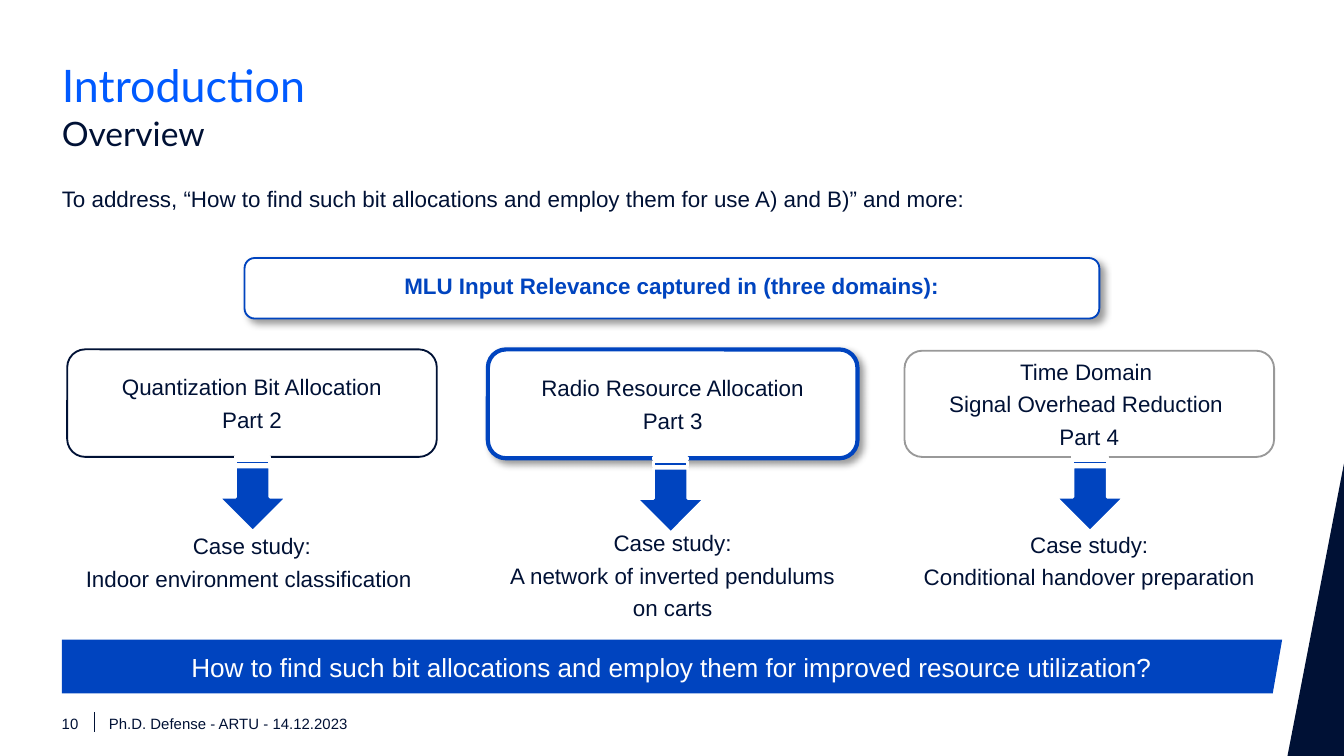
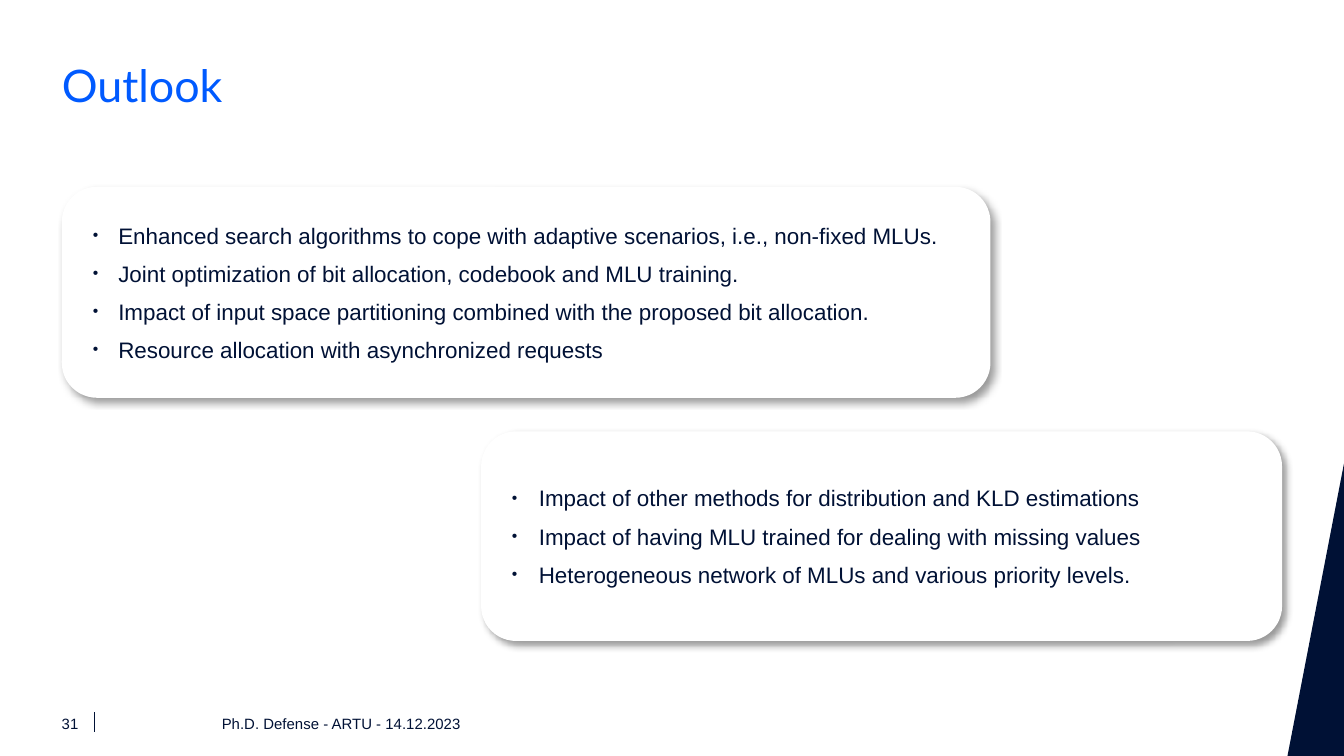
import dataclasses

import lxml.etree
import pptx
import pptx.dml.color
import pptx.enum.shapes
import pptx.enum.text
import pptx.oxml.ns
import pptx.util

Inches = pptx.util.Inches
SHAPE = pptx.enum.shapes.MSO_SHAPE
ALIGN = pptx.enum.text.PP_ALIGN
ANCHOR = pptx.enum.text.MSO_ANCHOR


@dataclasses.dataclass(frozen=True)
class Theme:
    """Colours, fonts and type sizes of the deck."""
    navy: str = "001135"
    blue: str = "0044BF"
    bright: str = "005AFF"
    grey: str = "999999"
    white: str = "FFFFFF"
    black: str = "000000"
    head: str = "Lato"
    body: str = "Arial"
    title: int = 24
    sub: int = 18
    band: int = 14
    text: int = 12
    small: int = 8


T = Theme()
WIDE = 10
HIGH = WIDE * 9 / 16
LEFT, SPAN = 0.46, 9.09
FOOT = "Ph.D. Defense - ARTU - 14.12.2023"


def color(code):
    """Turn a hex code into a colour."""
    return pptx.dml.color.RGBColor.from_string(code)


def node(parent, tag, **attrs):
    """Append a drawing element with its attributes."""
    child = lxml.etree.SubElement(parent, pptx.oxml.ns.qn(tag))
    for key, value in attrs.items():
        child.set(key, str(value))
    return child


def write(shape, text, size=T.text, ink=T.navy, font=T.body, bold=False,
          align=ALIGN.LEFT, anchor=ANCHOR.TOP, inset=0, after=0):
    """Fill a shape with text in one style."""
    frame = shape.text_frame
    frame.text = text
    frame.word_wrap = True
    frame.vertical_anchor = anchor
    frame.margin_left = frame.margin_right = Inches(inset)
    frame.margin_top = frame.margin_bottom = Inches(inset)
    for para in frame.paragraphs:
        para.alignment = align
        para.space_after = pptx.util.Pt(after)
        for run in para.runs:
            run.font.size = pptx.util.Pt(size)
            run.font.name = font
            run.font.bold = bold
            run.font.color.rgb = color(ink)


def label(slide, box, text, **style):
    """Add a text box."""
    shape = slide.shapes.add_textbox(*map(Inches, box))
    write(shape, text, **style)
    return shape


def paint(shape, fill, line=None, width=1):
    """Set fill and outline, without a shadow."""
    shape.shadow.inherit = False
    shape.fill.solid()
    shape.fill.fore_color.rgb = color(fill)
    if line:
        shape.line.color.rgb = color(line)
        shape.line.width = pptx.util.Pt(width)
    else:
        shape.line.fill.background()


def form(slide, kind, box, fill, line=None, width=1):
    """Add a painted preset shape."""
    shape = slide.shapes.add_shape(kind, *map(Inches, box))
    paint(shape, fill, line, width)
    return shape


def shade(shape):
    """Give a shape a soft shadow to the lower right."""
    effects = shape.element.spPr.find(pptx.oxml.ns.qn("a:effectLst"))
    shadow = node(effects, "a:outerShdw", blurRad=pptx.util.Pt(4),
                  dist=pptx.util.Pt(3), dir=45 * 60000, algn="tl", rotWithShape=0)
    tint = node(shadow, "a:srgbClr", val=T.black)
    node(tint, "a:alpha", val=40000)


def dot(shape, indent):
    """Put small bullets with a hanging indent on each paragraph."""
    for para in shape.text_frame.paragraphs:
        props = para._p.get_or_add_pPr()
        props.set("marL", str(Inches(indent)))
        props.set("indent", str(-Inches(indent)))
        node(props, "a:buSzPct", val=70000)
        node(props, "a:buFont", typeface=T.body)
        node(props, "a:buChar", char="•")


def frame(deck, page, title, start, sub=None):
    """Add a slide with corner wedge, titles and footer."""
    slide = deck.slides.add_slide(deck.slide_layouts[6])
    wedge = form(slide, SHAPE.RIGHT_TRIANGLE, (9.58, 3.45, 0.42, HIGH - 3.45), T.navy)
    wedge.element.spPr.find(pptx.oxml.ns.qn("a:xfrm")).set("flipH", "1")
    for left, width, text in ((LEFT, 0.2, str(page)), (start, 3.15, FOOT)):
        label(slide, (left, 5.32, width, 0.13), text, size=T.small, anchor=ANCHOR.BOTTOM)
    rule = slide.shapes.add_connector(
        pptx.enum.shapes.MSO_CONNECTOR.STRAIGHT,
        Inches(0.7), Inches(5.3), Inches(0.7), Inches(5.45))
    rule.line.color.rgb = color(T.navy)
    rule.line.width = pptx.util.Pt(0.5)
    node(rule.element.spPr, "a:effectLst")
    label(slide, (LEFT, 0.43, SPAN, 0.37), title, size=T.title, ink=T.bright, font=T.head)
    if sub:
        label(slide, (LEFT, 0.84, SPAN, 0.37), sub, size=T.sub, font=T.head)
    return slide


def column(slide, box, part, study, line, width, lift, shift, drop):
    """Add a part box with an arrow down to its case study."""
    left, top, wide, high = box
    card = form(slide, SHAPE.ROUNDED_RECTANGLE, box, T.white, line, width)
    if lift:
        shade(card)
    style = dict(align=ALIGN.CENTER, after=3)
    write(card, part, anchor=ANCHOR.MIDDLE, inset=0.08, **style)
    arrow = form(slide, SHAPE.STRIPED_RIGHT_ARROW,
                 (left + shift, top + high + 0.02, 0.56, 0.51), T.blue, T.white, 1.5)
    arrow.rotation = 90
    label(slide, (left, top + drop, wide, 0.79), "Case study:\n" + study, **style)


def band(slide, box, text):
    """Add a bar with a slanted right end."""
    left, top, wide, high = box
    right, low = left + wide, top + high
    points = [(right, top), (right - 0.07, low), (left, low)]
    build = slide.shapes.build_freeform(Inches(left), Inches(top))
    build.add_line_segments([(Inches(x), Inches(y)) for x, y in points])
    bar = build.convert_to_shape()
    paint(bar, T.blue)
    write(bar, text, size=T.band, ink=T.white, align=ALIGN.CENTER,
          anchor=ANCHOR.MIDDLE, after=3)


def panel(slide, box, items, indent):
    """Add a raised card with a bullet list."""
    left, top, wide, high = box
    shade(form(slide, SHAPE.ROUNDED_RECTANGLE, box, T.white))
    points = label(slide, (left + 0.23, top, wide - 0.46, high), "\n".join(items),
                   align=ALIGN.JUSTIFY, anchor=ANCHOR.MIDDLE, after=6)
    dot(points, indent)


def intro(deck):
    """Build the overview slide."""
    slide = frame(deck, 10, "Introduction", 0.81, "Overview")
    label(slide, (LEFT, 1.38, SPAN, 3.23),
          "To address, “How to find such bit allocations and employ them "
          "for use A) and B)” and more:", after=6)
    topic = form(slide, SHAPE.ROUNDED_RECTANGLE, (1.82, 1.92, 6.36, 0.45), T.white, T.blue)
    shade(topic)
    write(topic, "MLU Input Relevance captured in (three domains):", ink=T.blue,
          bold=True, align=ALIGN.CENTER, inset=0.08, after=3)
    parts = (
        ((0.5, 2.6, 2.75, 0.8), "Quantization Bit Allocation\nPart 2",
         "Indoor environment classification ", T.navy, 1, False, 1.1, 1.36),
        ((3.63, 2.6, 2.75, 0.81), "Radio Resource Allocation\nPart 3",
         "A network of inverted pendulums\non carts", T.blue, 2.25, True, 1.08, 1.34),
        ((6.73, 2.61, 2.75, 0.79), "Time Domain \nSignal Overhead Reduction \nPart 4",
         "Conditional handover preparation", T.grey, 1, False, 1.1, 1.34),
    )
    for part in parts:
        column(slide, *part)
    band(slide, (LEFT, 4.76, SPAN - 0.01, 0.4),
         "How to find such bit allocations and employ them for improved resource utilization?")


def outlook(deck):
    """Build the outlook slide."""
    slide = frame(deck, 31, "Outlook", 1.65)
    panel(slide, (LEFT, 1.39, 6.91, 1.57), (
        "Enhanced search algorithms to cope with adaptive scenarios, i.e., non-fixed MLUs.",
        "Joint optimization of bit allocation, codebook and MLU training.",
        "Impact of input space partitioning combined with the proposed bit allocation.",
        "Resource allocation with asynchronized requests",
    ), 0.19)
    panel(slide, (3.58, 3.21, 5.96, 1.56), (
        "Impact of other methods for distribution and KLD estimations",
        "Impact of having MLU trained for dealing with missing values",
        "Heterogeneous network of MLUs and various priority levels.",
    ), 0.2)


def main():
    """Build and save the deck."""
    deck = pptx.Presentation()
    deck.slide_width, deck.slide_height = Inches(WIDE), Inches(HIGH)
    intro(deck)
    outlook(deck)
    deck.save("out.pptx")


if __name__ == "__main__":
    main()
